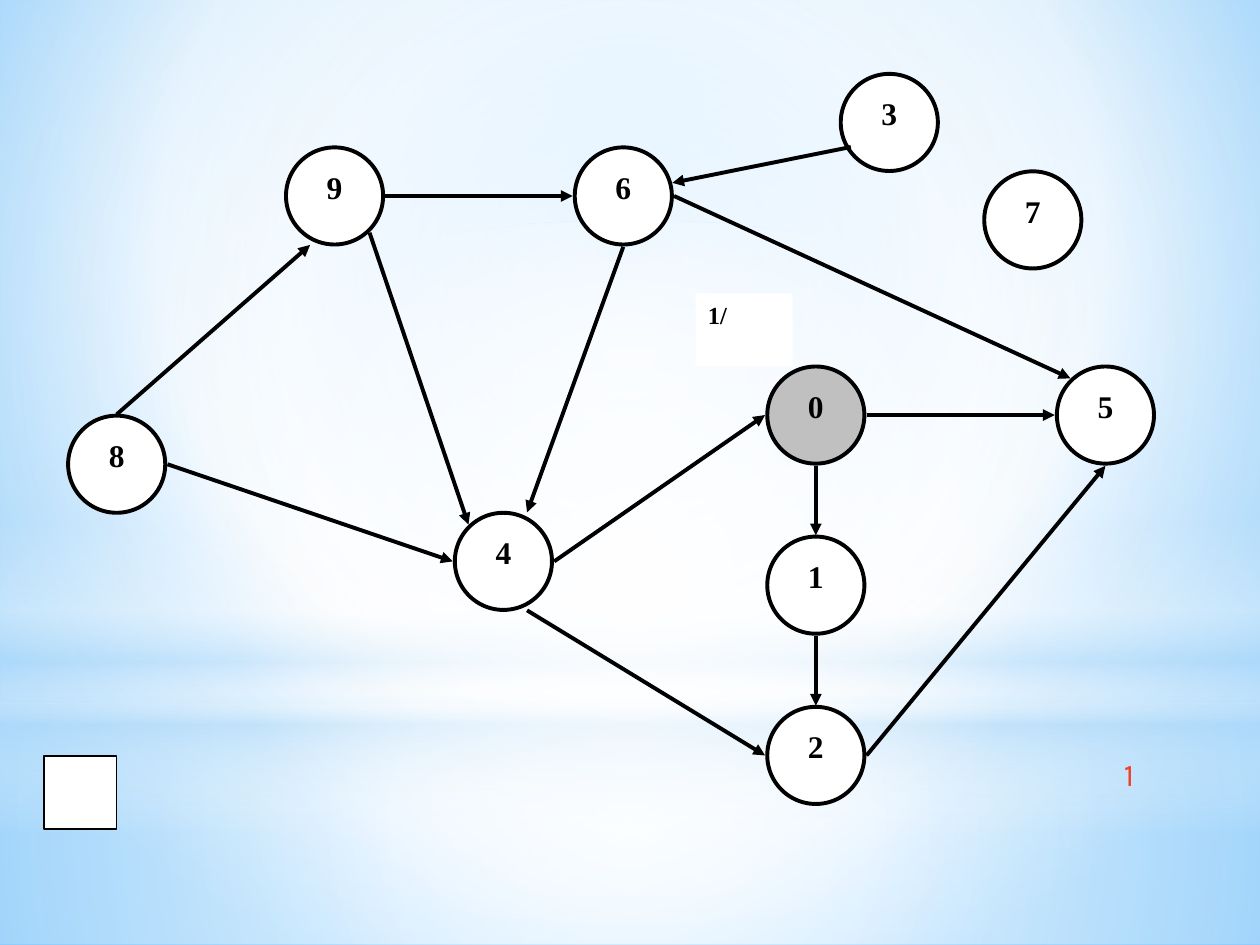
"""Build a slide that shows a directed graph at the first step of a traversal."""
from dataclasses import dataclass

from lxml import etree
from pptx import Presentation
from pptx.dml.color import RGBColor
from pptx.enum import shapes, text
from pptx.oxml import parse_xml
from pptx.oxml.ns import nsdecls, qn
from pptx.util import Pt


@dataclass(frozen=True)
class Theme:
    """Colours, fonts and sizes of the slide."""
    ink: str = "000000"
    paper: str = "FFFFFF"
    visited: str = "C0C0C0"
    accent: str = "F14124"
    haze: str = "B4DCFA"
    sky: str = "9ED5FF"
    deep_sky: str = "5BB9FF"
    label_font: str = "Times New Roman"
    counter_font: str = "Karla"
    label_size: float = 18
    time_size: float = 14
    edge_width: float = 2.25
    box_width: float = 0.75


THEME = Theme()
DIAMETER = 55.5
NODES = {
    "9": (152, 70), "8": (27.5, 223.3), "0": (427, 195.2), "4": (248.5, 278.8),
    "6": (317, 70), "5": (592.5, 195.2), "1": (427, 292.4), "2": (427, 389.7),
    "3": (469, 28), "7": (551, 83.7),
}
ANCHORS = {
    "N": (0, -28.5), "S": (0, 29), "E": (29, 0), "W": (-29, 0),
    "NW": (-20, -21), "SE": (20, 21), "NNE": (13.5, -28), "SSE": (13.5, 28),
    "SSW": (-14, 28), "WSW": (-22, 14), "ENE": (28, -7.5),
}
EDGES = [
    ("9", "E", "6", "W"), ("8", "N", "9", "SSW"), ("6", "S", "4", "NNE"),
    ("9", "SE", "4", "NW"), ("4", "E", "0", "W"), ("0", "E", "5", "W"),
    ("6", "E", "5", "NW"), ("0", "S", "1", "N"), ("1", "S", "2", "N"),
    ("2", "E", "5", "S"), ("4", "SSE", "2", "W"), ("8", "E", "4", "W"),
    ("3", "WSW", "6", "ENE"),
]


def apply_gradient(fill, owner, stops, focus=None):
    """Fill with (position, colour, opacity) stops, radial when a focus is given."""
    fill.gradient()
    stop_xml = "".join(
        f'<a:gs pos="{pos * 1000}"><a:srgbClr val="{colour}">'
        f'<a:alpha val="{opacity * 1000}"/></a:srgbClr></a:gs>'
        for pos, colour, opacity in stops)
    if focus:
        edges = " ".join(f'{side}="{value * 1000}"' for side, value in zip("ltrb", focus))
        direction = f'<a:path path="circle"><a:fillToRect {edges}/></a:path>'
    else:
        direction = '<a:lin ang="5400000" scaled="0"/>'
    gradient = parse_xml(f'<a:gradFill {nsdecls("a")} rotWithShape="1">'
                         f'<a:gsLst>{stop_xml}</a:gsLst>{direction}</a:gradFill>')
    default = next(owner.iter(qn("a:gradFill")))
    default.getparent().replace(default, gradient)


def add_figure(slide, kind, box, colour=None, line_width=None):
    """Add a flat preset shape with an optional black outline."""
    figure = slide.shapes.add_shape(kind, *map(Pt, box))
    figure.shadow.inherit = False
    if colour:
        figure.fill.solid()
        figure.fill.fore_color.rgb = RGBColor.from_string(colour)
    if line_width:
        figure.line.color.rgb = RGBColor.from_string(THEME.ink)
        figure.line.width = Pt(line_width)
    else:
        figure.line.fill.background()
    return figure


def write(figure, words, font_name, size, colour, bold, align):
    """Write one line of text at the top of a figure."""
    figure.text_frame.vertical_anchor = text.MSO_ANCHOR.TOP
    paragraph = figure.text_frame.paragraphs[0]
    paragraph.text = words
    paragraph.alignment = align
    font = paragraph.font
    font.name, font.size, font.bold = font_name, Pt(size), bold
    font.color.rgb = RGBColor.from_string(colour)


def draw_backdrop(slide, left, top, width, height):
    """Paint the sky, its horizon and the central glow."""
    paper, haze = THEME.paper, THEME.haze
    rect, oval = shapes.MSO_SHAPE.RECTANGLE, shapes.MSO_SHAPE.OVAL
    centre = (50, 50, 50, 50)
    horizon = 402
    apply_gradient(slide.background.fill, slide.element,
                   [(0, THEME.sky, 100), (60, paper, 100), (100, THEME.deep_sky, 100)],
                   (20, 10, 20, 60))
    layers = [
        (rect, horizon, height - horizon,
         [(0, paper, 91), (37, paper, 76), (100, haze, 79)], centre),
        (rect, 0, horizon, [(0, paper, 89), (48, paper, 62), (100, haze, 79)], centre),
        (rect, 297, 180, [(0, paper, 0), (29, paper, 30), (45, haze, 40),
                          (55, paper, 26), (65, haze, 60), (100, paper, 0)], None),
        (oval, 126, horizon, [(0, paper, 100), (56, paper, 0)], centre),
    ]
    for kind, offset, depth, stops, focus in layers:
        layer = add_figure(slide, kind, (left, top + offset, width, depth))
        apply_gradient(layer.fill, layer.element, stops, focus)


def draw_edge(slide, start, end):
    """Draw an arrow between two points."""
    edge = slide.shapes.add_connector(
        shapes.MSO_CONNECTOR.STRAIGHT, *map(Pt, (*start, *end)))
    edge.line.color.rgb = RGBColor.from_string(THEME.ink)
    edge.line.width = Pt(THEME.edge_width)
    properties = edge.element.spPr
    etree.SubElement(properties.find(qn("a:ln")), qn("a:tailEnd"), type="triangle")
    etree.SubElement(properties, qn("a:effectLst"))


def draw_graph(slide, left, top):
    """Draw the nodes, the edges and the discovery time of the current node."""
    def port(node, anchor):
        """Return the point where an edge meets a node."""
        (x, y), (dx, dy) = NODES[node], ANCHORS[anchor]
        return left + x + dx, top + y + dy

    for label, (x, y) in NODES.items():
        box = (left + x - DIAMETER / 2, top + y - DIAMETER / 2, DIAMETER, DIAMETER)
        node = add_figure(slide, shapes.MSO_SHAPE.OVAL, box,
                          THEME.visited if label == "0" else THEME.paper, THEME.edge_width)
        write(node, label, THEME.label_font, THEME.label_size, THEME.ink, True,
              text.PP_ALIGN.CENTER)
    for source, source_anchor, target, target_anchor in EDGES:
        draw_edge(slide, port(source, source_anchor), port(target, target_anchor))
    time = add_figure(slide, shapes.MSO_SHAPE.RECTANGLE,
                      (left + 358.3, top + 125.6, DIAMETER, 41.8), THEME.paper)
    write(time, "1/", THEME.label_font, THEME.time_size, THEME.ink, True, text.PP_ALIGN.LEFT)


def draw_footer(slide, left, top):
    """Place the empty stack cell and the step counter."""
    add_figure(slide, shapes.MSO_SHAPE.RECTANGLE, (left, top + 4.2, 41.3, 41.8),
               THEME.paper, THEME.box_width)
    counter = slide.shapes.add_textbox(*map(Pt, (left + 610, top, 24.5, 29)))
    counter.text_frame.word_wrap = False
    counter.text_frame.auto_size = text.MSO_AUTO_SIZE.SHAPE_TO_FIT_TEXT
    write(counter, "1", THEME.counter_font, THEME.label_size, THEME.accent, False,
          text.PP_ALIGN.LEFT)


def build():
    """Assemble and save the slide."""
    deck = Presentation()
    deck.slide_width, deck.slide_height = Pt(720), Pt(540)
    slide = deck.slides.add_slide(deck.slide_layouts[6])
    draw_backdrop(slide, 0, 0, 720, 540)
    draw_graph(slide, 39.2, 42)
    draw_footer(slide, 25.2, 427.8)
    deck.save("out.pptx")


build()
